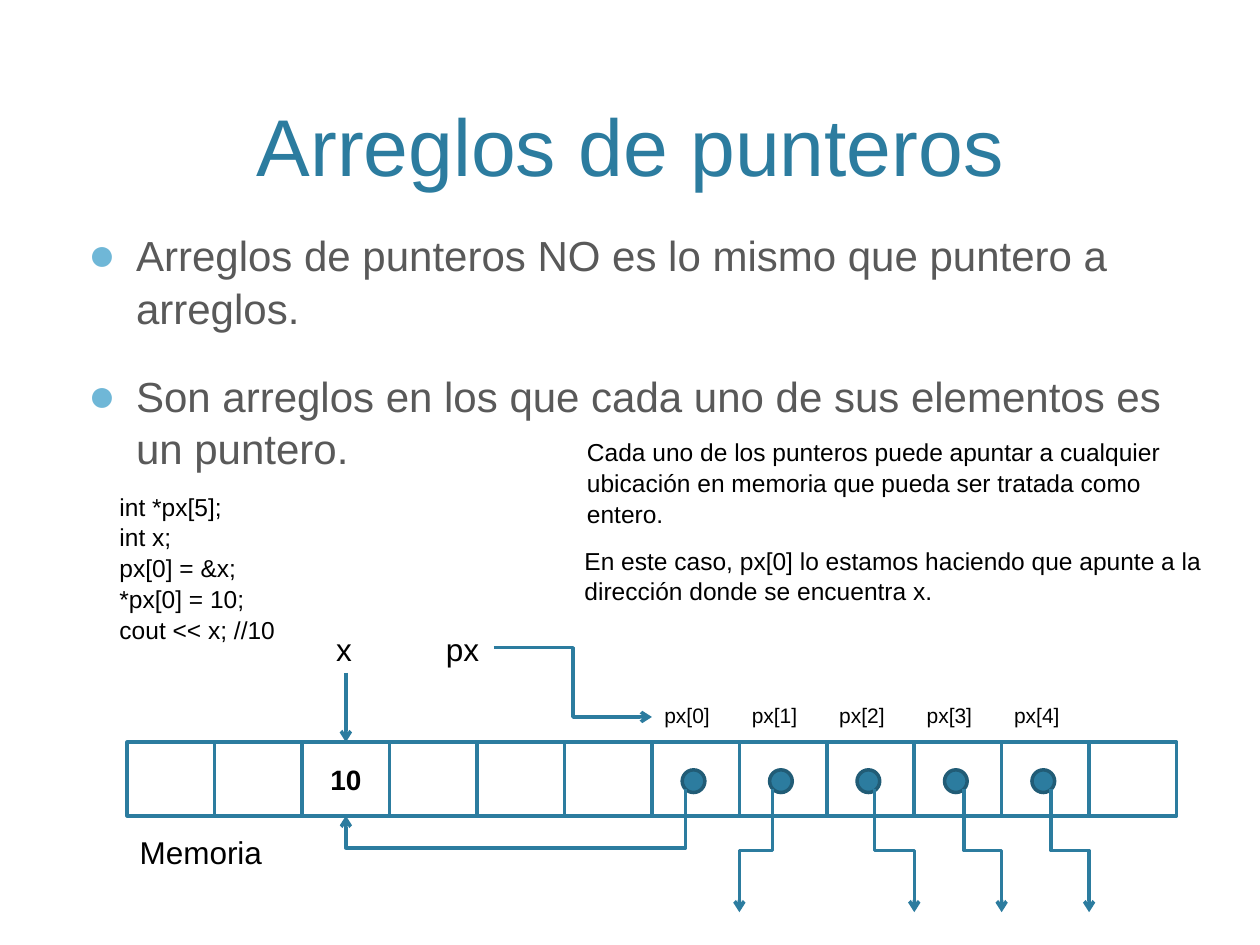
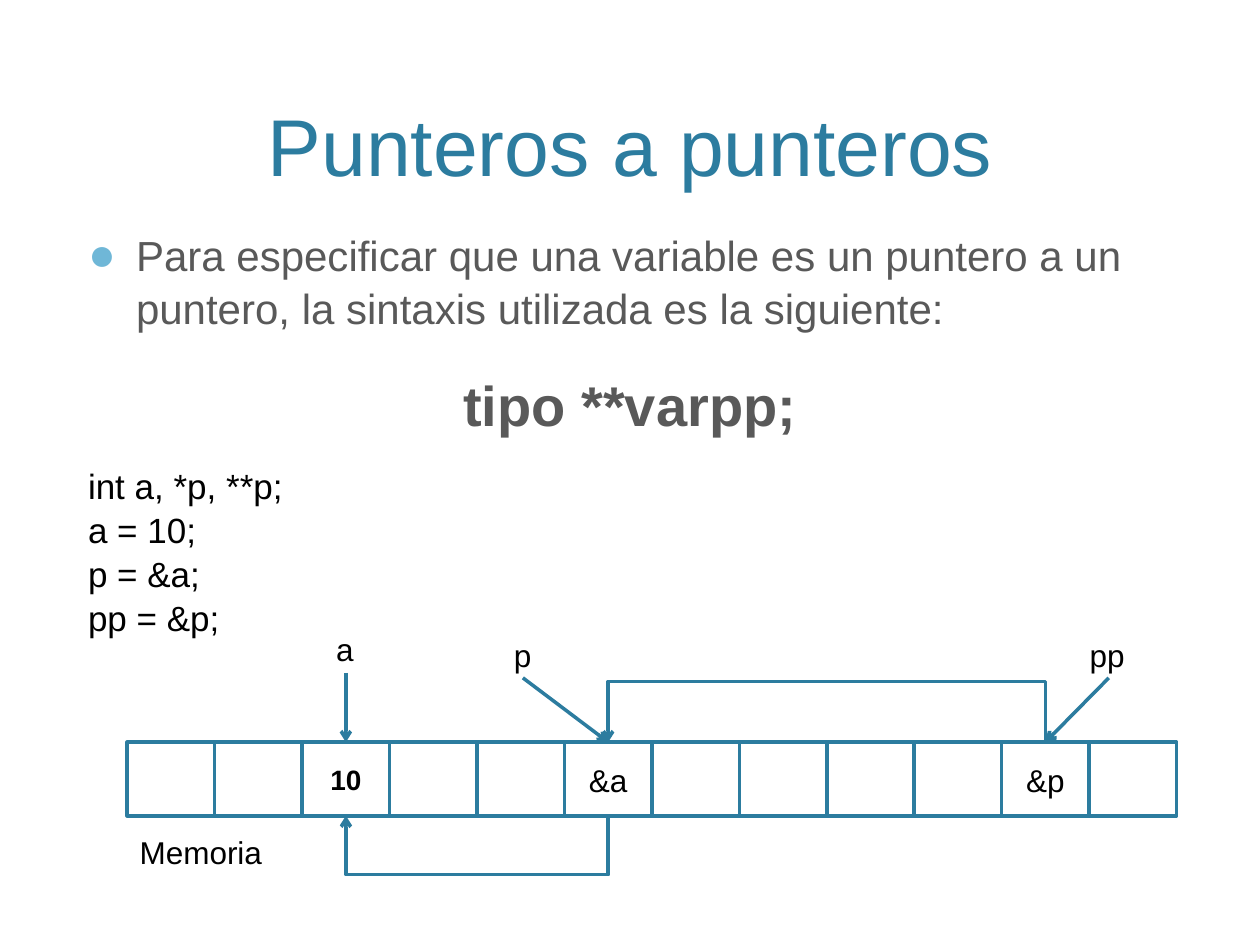
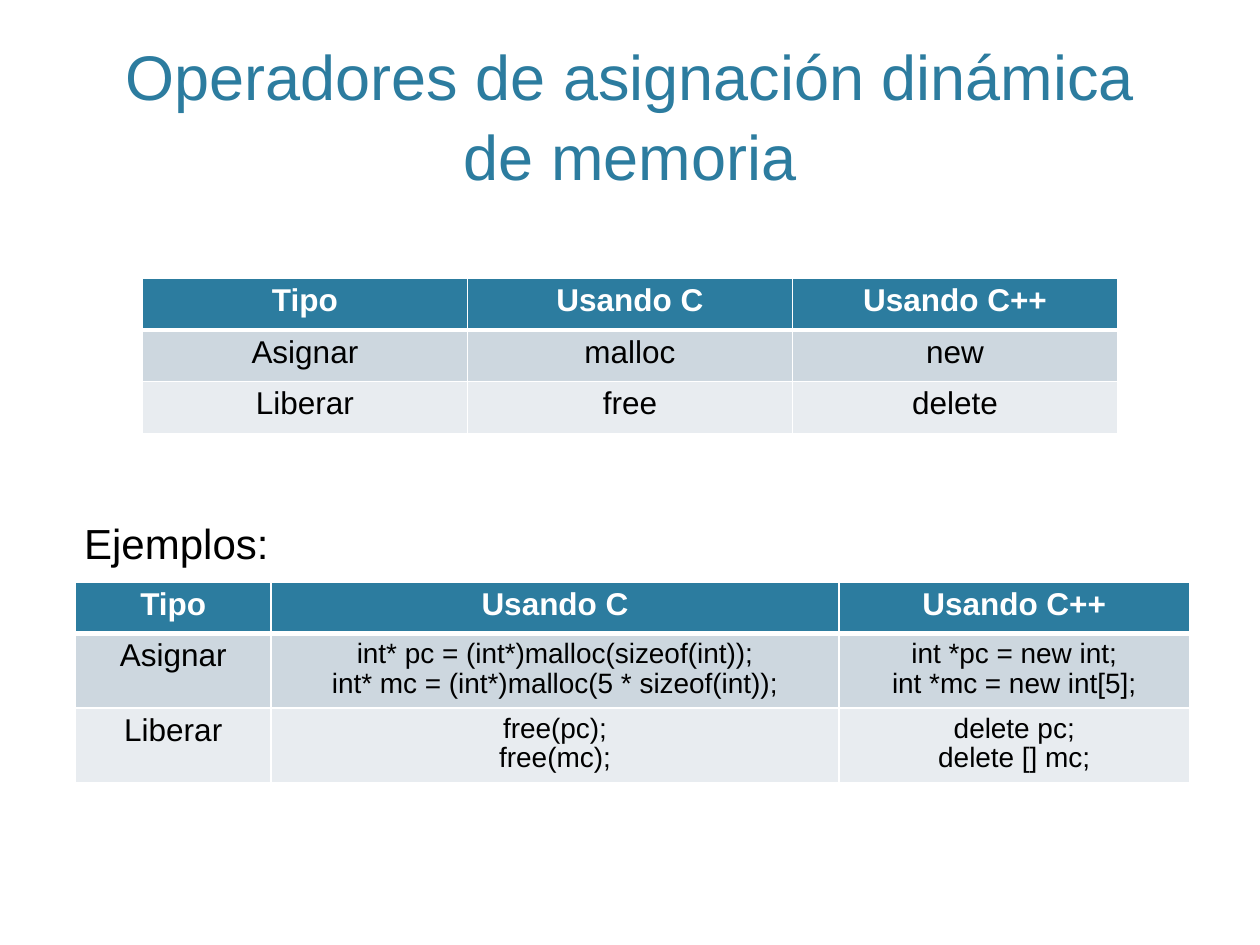
from lxml import etree
from pptx import Presentation
from pptx.dml.color import RGBColor
from pptx.enum.shapes import MSO_CONNECTOR, MSO_SHAPE
from pptx.enum.text import MSO_ANCHOR, MSO_AUTO_SIZE, PP_ALIGN
from pptx.oxml.ns import qn
from pptx.util import Inches, Pt

LEFT, CENTER = PP_ALIGN.LEFT, PP_ALIGN.CENTER
TOP, MIDDLE, BOTTOM = MSO_ANCHOR.TOP, MSO_ANCHOR.MIDDLE, MSO_ANCHOR.BOTTOM
RECT, OVAL = MSO_SHAPE.RECTANGLE, MSO_SHAPE.OVAL
LINE, ELBOW = MSO_CONNECTOR.STRAIGHT, MSO_CONNECTOR.ELBOW
FIXED = MSO_AUTO_SIZE.NONE

# Shared look
FONT = "Arial"
TEAL, DARK, SKY = "2C7C9F", "215C76", "6FB7D7"
GREY, BLACK, WHITE = "595959", "000000", "FFFFFF"
BANDS = ["CDD7DF", "E8ECF0"]
MARGIN, WIDTH = 0.6, 8.8
SPACING, TIGHT = 1.05, 0.95

# Memory strip: a row of equal cells
COUNT, X0, Y0, STEP, HIGH = 12, 1.01, 5.89, 0.694, 0.585
BASE = Y0 + HIGH
FIRST = 6  # column of px[0]
DOT, INSET = 0.18, 0.24

# Content
ARRAYS = {
    "title": "Arreglos de punteros",
    "body": ["Arreglos de punteros NO es lo mismo que puntero a arreglos.",
             "Son arreglos en los que cada uno de sus elementos es un puntero."],
    "notes": [
        ((4.56, 3.41, 5.11, 0.81), ["Cada uno de los punteros puede apuntar a cualquier "
                                    "ubicación en memoria que pueda ser tratada como entero."]),
        ((4.54, 4.27, 5.11, 0.57), ["En este caso, px[0] lo estamos haciendo que apunte a "
                                    "la dirección donde se encuentra x."]),
        ((0.85, 3.84, 1.7, 1.28), ["int *px[5];", "int x;", "px[0] = &x;",
                                   "*px[0] = 10;", "cout << x; //10"]),
    ],
    "cells": {2: ("10", 16, True)},
    "names": [("x", 2.57, 4.94, 0.33), ("px", 3.44, 4.94, 0.48)],
}
# Start x of each pointer's arrow and the column edge it reaches
JUMPS = [(6.13, 7), (6.94, 9), (7.65, 10), (8.34, 11)]

DOUBLE = {
    "title": "Punteros a punteros",
    "body": ["Para especificar que una variable es un puntero a un puntero, "
             "la sintaxis utilizada es la siguiente:"],
    "syntax": "tipo **varpp;",
    "code": ["int a, *p, **p;", "a = 10;", "p = &a;", "pp = &p;"],
    "cells": {2: ("10", 16, True), 5: ("&a", 18, False), 10: ("&p", 18, False)},
    "names": [("a", 2.57, 4.94, 0.34), ("p", 3.98, 4.98, 0.36), ("pp", 8.55, 4.98, 0.51)],
}

HEAD = ["Tipo", "Usando C", "Usando C++"]
TABLES = [
    {"at": (1.13, 2.21), "cols": [2.58] * 3, "rows": [0.41] * 3,
     "data": [HEAD, ["Asignar", "malloc", "new"], ["Liberar", "free", "delete"]]},
    {"at": (MARGIN, 4.62), "cols": [1.55, 4.51, 2.78], "rows": [0.41, 0.59, 0.59],
     "data": [HEAD,
              ["Asignar",
               ["int* pc = (int*)malloc(sizeof(int));",
                "int* mc = (int*)malloc(5 * sizeof(int));"],
               ["int *pc = new int;", "int *mc = new int[5];"]],
              ["Liberar", ["free(pc);", "free(mc);"], ["delete pc;", "delete [] mc;"]]]},
]


def rgb(code):
    return RGBColor.from_string(code)


def sub(node, tag, **attrs):
    return etree.SubElement(node, qn(tag), attrs)


def write(frame, lines, size, color=BLACK, bold=False, align=LEFT, space=SPACING):
    """Fill a text frame, one paragraph a line."""
    for i, line in enumerate(lines):
        para = frame.paragraphs[0] if i == 0 else frame.add_paragraph()
        style(para, line, size, color, bold, align, space)


def style(para, line, size, color, bold, align, space=SPACING):
    para.alignment = align
    para.line_spacing = space
    run = para.add_run()
    run.text = line
    font = run.font
    font.name, font.size, font.bold = FONT, Pt(size), bold
    font.color.rgb = rgb(color)


def place(shape, x, y, w, h):
    shape.left, shape.top = Inches(x), Inches(y)
    shape.width, shape.height = Inches(w), Inches(h)


def page(deck, layout, title, size=46):
    slide = deck.slides.add_slide(deck.slide_layouts[layout])
    head = slide.shapes.title
    place(head, MARGIN, 0.12, WIDTH, 1.46)
    frame = head.text_frame
    frame.auto_size, frame.vertical_anchor = FIXED, BOTTOM
    write(frame, [title], size, TEAL, align=CENTER)
    return slide


def bullets(slide, lines, h, syntax=None):
    body = slide.placeholders[1]
    place(body, MARGIN, 1.75, WIDTH, h)
    frame = body.text_frame
    frame.auto_size, frame.vertical_anchor = FIXED, TOP
    write(frame, lines, 24, GREY)
    for para in frame.paragraphs:
        para.space_before = Pt(20)
        props = para._p.get_or_add_pPr()
        props.set("marL", str(Inches(0.38)))
        props.set("indent", str(-Inches(0.38)))
        sub(sub(props, "a:buClr"), "a:srgbClr", val=SKY)
        sub(props, "a:buSzPct", val="110000")
        sub(props, "a:buFont", typeface=FONT)
        sub(props, "a:buChar", char="●")
    if syntax:
        para = frame.add_paragraph()
        style(para, syntax, 32, GREY, True, CENTER)
        para.space_before = Pt(20)
        props = para._p.get_or_add_pPr()
        props.set("marL", "0")
        props.set("indent", "0")
        sub(props, "a:buNone")


def label(slide, lines, size, x, y, w, h, wrap=False):
    box = slide.shapes.add_textbox(*map(Inches, (x, y, w, h)))
    box.text_frame.word_wrap = wrap
    write(box.text_frame, lines, size)


def draw(slide, kind, x, y, w, h, fill, edge):
    shape = slide.shapes.add_shape(kind, *map(Inches, (x, y, w, h)))
    shape.shadow.inherit = False
    shape.fill.solid()
    shape.fill.fore_color.rgb = rgb(fill)
    shape.line.color.rgb = rgb(edge)
    shape.line.width = Pt(2)
    return shape


def arrow(slide, kind, x1, y1, x2, y2):
    link = slide.shapes.add_connector(kind, *map(Inches, (x1, y1, x2, y2)))
    link.line.color.rgb = rgb(TEAL)
    link.line.width = Pt(2)
    sub(link.line._get_or_add_ln(), "a:tailEnd", type="arrow")
    sub(link._element.spPr, "a:effectLst")
    return link


def bend(slide, x1, y1, x2, y2, turn):
    """Elbow that leaves vertically and crosses over at height turn."""
    dx, dy = x2 - x1, y2 - y1
    w, h = abs(dy), abs(dx)
    x, y = (x1 + x2 - w) / 2, (y1 + y2 - h) / 2
    link = arrow(slide, ELBOW, x, y, x + w, y + h)
    spot = link._element.spPr.find(qn("a:xfrm"))
    if dy > 0 and dx < 0:
        spot.set("rot", str(90 * 60000))
    else:
        spot.set("rot", str(270 * 60000))
        spot.set("flipH", str(int(dy > 0)))
        spot.set("flipV", str(int(dx < 0)))
    guides = link._element.spPr.find(qn("a:prstGeom")).find(qn("a:avLst"))
    share = round((turn - y1) / dy * 100000)
    sub(guides, "a:gd", name="adj1", fmla=f"val {share}")


def edge(col):
    return X0 + col * STEP


def mid(col):
    return edge(col + 0.5)


def memory(slide, cells, names):
    for col in [*range(2, COUNT), 0, 1]:
        cell = draw(slide, RECT, edge(col), Y0, STEP, HIGH, WHITE, TEAL)
        if col in cells:
            text, size, bold = cells[col]
            cell.text_frame.vertical_anchor = MIDDLE
            write(cell.text_frame, [text], size, bold=bold, align=CENTER)
    label(slide, ["Memoria"], 18, X0, 6.55, 1.26, 0.4)
    for text, x, y, w in names:
        label(slide, [text], 18, x, y, w, 0.4)
    arrow(slide, LINE, mid(2), 5.34, mid(2), Y0)


def border(cell, bottom):
    props = cell._tc.get_or_add_tcPr()
    for i, side in enumerate("LRTB"):
        width = bottom if side == "B" else 1
        line = etree.Element(qn(f"a:ln{side}"), w=str(Pt(width)))
        sub(sub(line, "a:solidFill"), "a:srgbClr", val=WHITE)
        props.insert(i, line)


def grid(slide, at, cols, rows, data):
    size = (*at, sum(cols), sum(rows))
    table = slide.shapes.add_table(len(rows), len(cols), *map(Inches, size)).table
    for col, w in zip(table.columns, cols):
        col.width = Inches(w)
    for r, (h, line) in enumerate(zip(rows, data)):
        table.rows[r].height = Inches(h)
        for c, item in enumerate(line):
            cell, top = table.cell(r, c), r == 0
            cell.fill.solid()
            cell.fill.fore_color.rgb = rgb(TEAL if top else BANDS[r - 1])
            border(cell, 3 if top or r == 0 else 1)
            pair = isinstance(item, list)
            write(cell.text_frame, item if pair else [item], 16 if pair else 18,
                  WHITE if top else BLACK, top, CENTER, TIGHT)


deck = Presentation()
deck.slide_width, deck.slide_height = Inches(10), Inches(7.5)

# Slide 1: arrays of pointers
slide = page(deck, 1, ARRAYS["title"])
bullets(slide, ARRAYS["body"], 4.75)
for at, lines in ARRAYS["notes"]:
    label(slide, lines, 14, *at, wrap=True)
memory(slide, ARRAYS["cells"], ARRAYS["names"])
arrow(slide, ELBOW, 3.92, 5.14, edge(FIRST), 5.69)
for i in range(5):
    x = edge(FIRST + i)
    label(slide, [f"px[{i}]"], 12, x, 5.52, 0.62, 0.3)
    draw(slide, OVAL, x + INSET, 6.11, DOT, DOT, TEAL, DARK)
bend(slide, 5.44, 6.26, mid(2), BASE, 6.73)
for x, col in JUMPS:
    bend(slide, x, 6.26, edge(col), 7.24, 6.75)

# Slide 2: pointers to pointers
slide = page(deck, 1, DOUBLE["title"])
bullets(slide, DOUBLE["body"], 1.87, DOUBLE["syntax"])
label(slide, DOUBLE["code"], 20, MARGIN, 3.62, 2.05, 1.45, wrap=True)
memory(slide, DOUBLE["cells"], DOUBLE["names"])
arrow(slide, LINE, 4.15, 5.38, mid(5), Y0)
arrow(slide, LINE, 8.8, 5.38, mid(10), Y0)
bend(slide, mid(5), BASE - 0.01, mid(2), BASE, 6.95)
bend(slide, mid(10), Y0 + 0.01, mid(5), Y0, 5.4)

# Slide 3: allocation operators
slide = page(deck, 5, "Operadores de asignación dinámica de memoria", 36)
for item in TABLES:
    grid(slide, **item)
label(slide, ["Ejemplos:"], 24, 0.57, 4.04, 1.77, 0.5)

deck.save("out.pptx")
